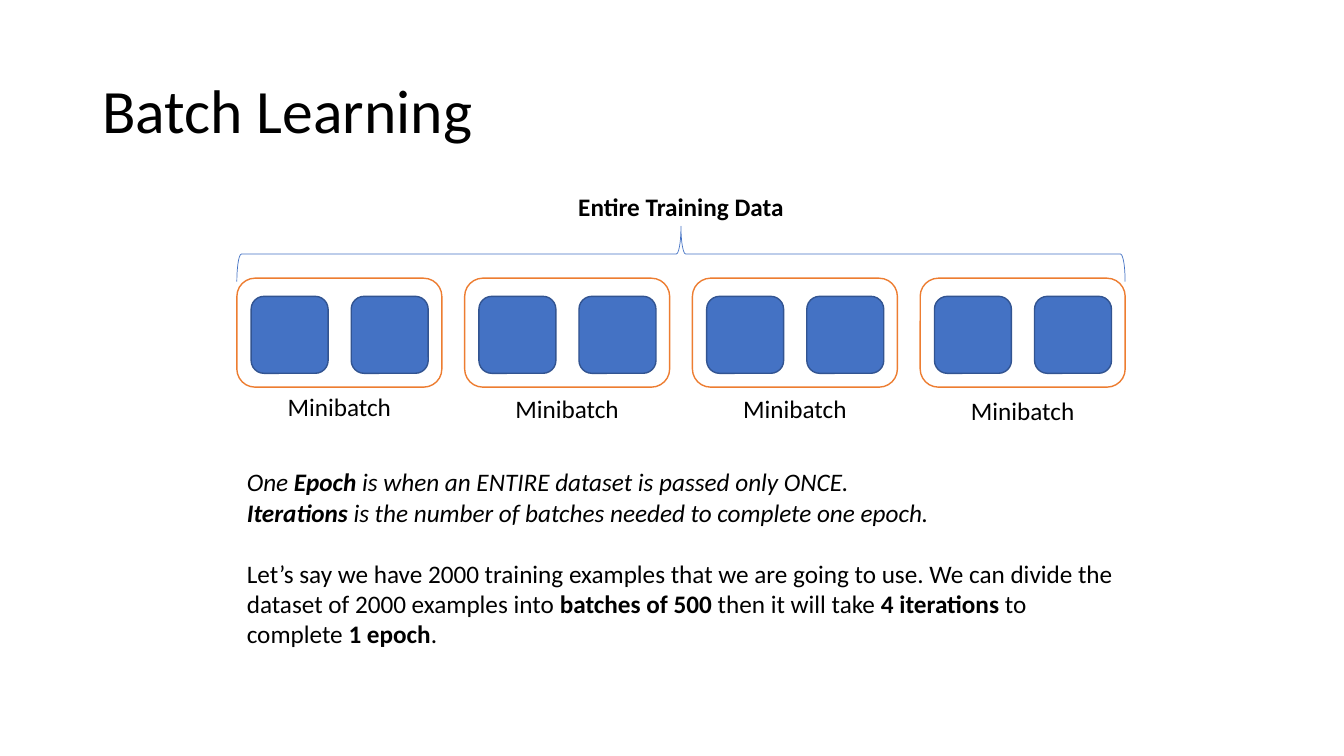
from pptx import Presentation
from pptx.dml.color import RGBColor as Rgb
from pptx.enum.shapes import MSO_SHAPE as Kind
from pptx.enum.text import MSO_ANCHOR as Anchor, MSO_AUTO_SIZE as Auto, PP_ALIGN as Align
from pptx.util import Pt

TITLE = "Batch Learning"
HEAD = "Entire Training Data"
LABEL = "Minibatch"
DROPS = (275.8, 277.2, 277.2, 278.6)
NOTES = [
    [("One ", "i"), ("Epoch", "bi"), (" is when an ENTIRE dataset is passed only ONCE.", "i")],
    [("Iterations", "bi"), (" is the number of batches needed to complete one epoch.", "i")],
    [("Let’s say we have 2000 training examples that we are going to use. "
      "We can divide the dataset of 2000 examples into ", ""),
     ("batches of 500 ", "b"), ("then it will take ", ""), ("4 iterations ", "b"),
     ("to complete ", ""), ("1 epoch", "b"), (".", "")],
]
GAPS = (0, 0, 22)

THEME = dict(font="Calibri", ink="000000", blue="4472C4", edge="325491",
             orange="ED7D31", title=44, body=18)

LEFT, TOP, WIDE, HIGH, STEP = 169.2, 198.7, 146.4, 77.8, 162.7
SIDE, INSET, PITCH = 55, 10.2, 71.5
SPAN = STEP * (len(DROPS) - 1) + WIDE
MID = LEFT + SPAN / 2

deck = Presentation()
deck.slide_width, deck.slide_height = Pt(960), Pt(540)
slide = deck.slides.add_slide(deck.slide_layouts[5])


def write(box, paras, size=THEME["body"], align=Align.LEFT, gaps=(0,), line=1.0):
    frame = box.text_frame
    for num, runs in enumerate(paras):
        para = frame.add_paragraph() if num else frame.paragraphs[0]
        para.alignment = align
        para.line_spacing = line
        para.space_before = Pt(gaps[num])
        for text, style in runs:
            run = para.add_run()
            run.text = text
            font = run.font
            font.name, font.size = THEME["font"], Pt(size)
            font.bold, font.italic = "b" in style, "i" in style
            font.color.rgb = Rgb.from_string(THEME["ink"])


def label(text, mid, top, wide, style=""):
    box = slide.shapes.add_textbox(Pt(mid - wide / 2), Pt(top), Pt(wide), Pt(29))
    box.text_frame.word_wrap = False
    write(box, [[(text, style)]], align=Align.CENTER)


def draw(kind, left, top, wide, high, edge, fill=None, width=1):
    shape = slide.shapes.add_shape(kind, Pt(left), Pt(top), Pt(wide), Pt(high))
    shape.shadow.inherit = False
    if fill:
        shape.fill.solid()
        shape.fill.fore_color.rgb = Rgb.from_string(fill)
    else:
        shape.fill.background()
    shape.line.color.rgb = Rgb.from_string(edge)
    shape.line.width = Pt(width)
    return shape


title = slide.shapes.title
title.left, title.top, title.width, title.height = Pt(66), Pt(28.8), Pt(828), Pt(104.4)
title.text_frame.vertical_anchor = Anchor.MIDDLE
title.text_frame.auto_size = Auto.NONE
write(title, [[(TITLE, "")]], size=THEME["title"], line=0.9)

for num, drop in enumerate(DROPS):
    left = LEFT + num * STEP
    for col in range(2):
        draw(Kind.ROUNDED_RECTANGLE, left + INSET + col * PITCH, TOP + 13,
             SIDE, SIDE, THEME["edge"], THEME["blue"])
    draw(Kind.ROUNDED_RECTANGLE, left, TOP, WIDE, HIGH, THEME["orange"])
    label(LABEL, left + WIDE / 2, drop, 89.3)

DEPTH = 39.6
brace = draw(Kind.RIGHT_BRACE, MID - DEPTH / 2, 181.4 - SPAN / 2, DEPTH, SPAN,
             THEME["blue"], width=0.5)
brace.rotation = 270
label(HEAD, MID, 133.2, 162.7, "b")

notes = slide.shapes.add_textbox(Pt(LEFT), Pt(329.8), Pt(635), Pt(138.2))
notes.text_frame.word_wrap = True
write(notes, NOTES, gaps=GAPS)

deck.save("out.pptx")
